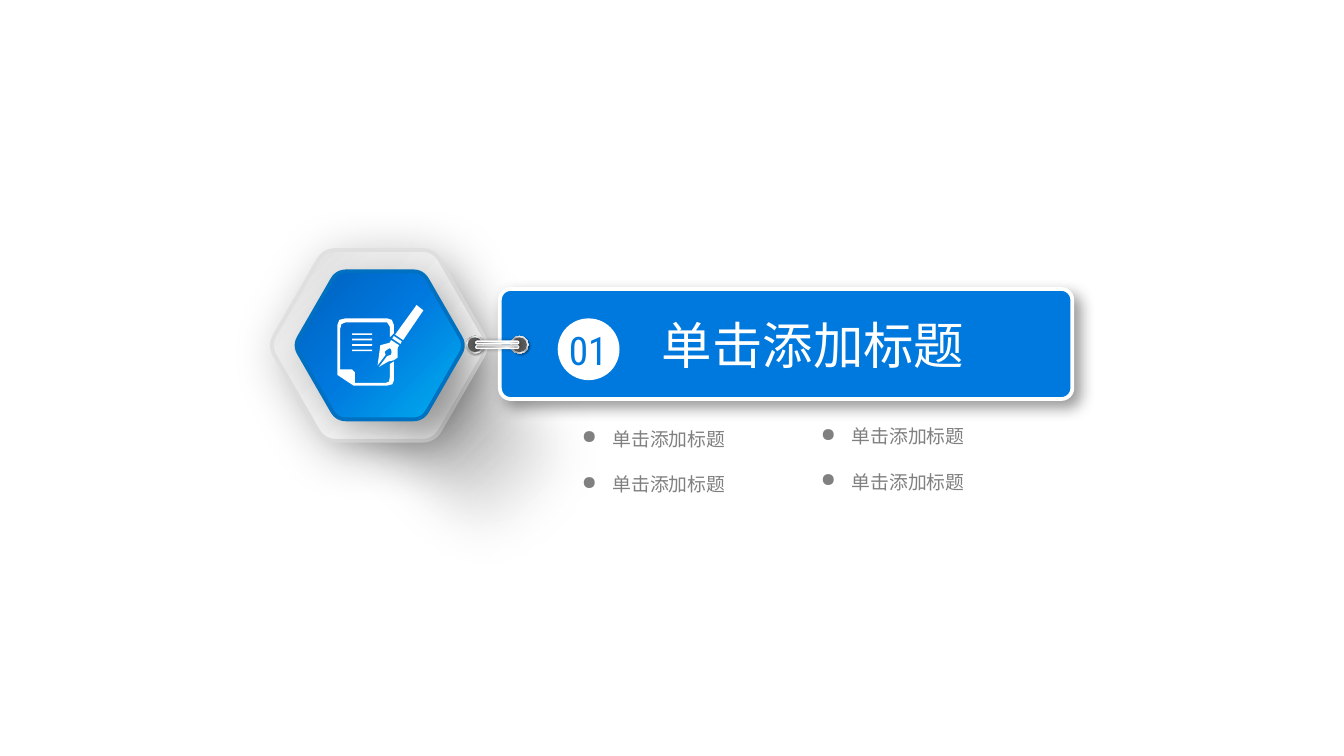
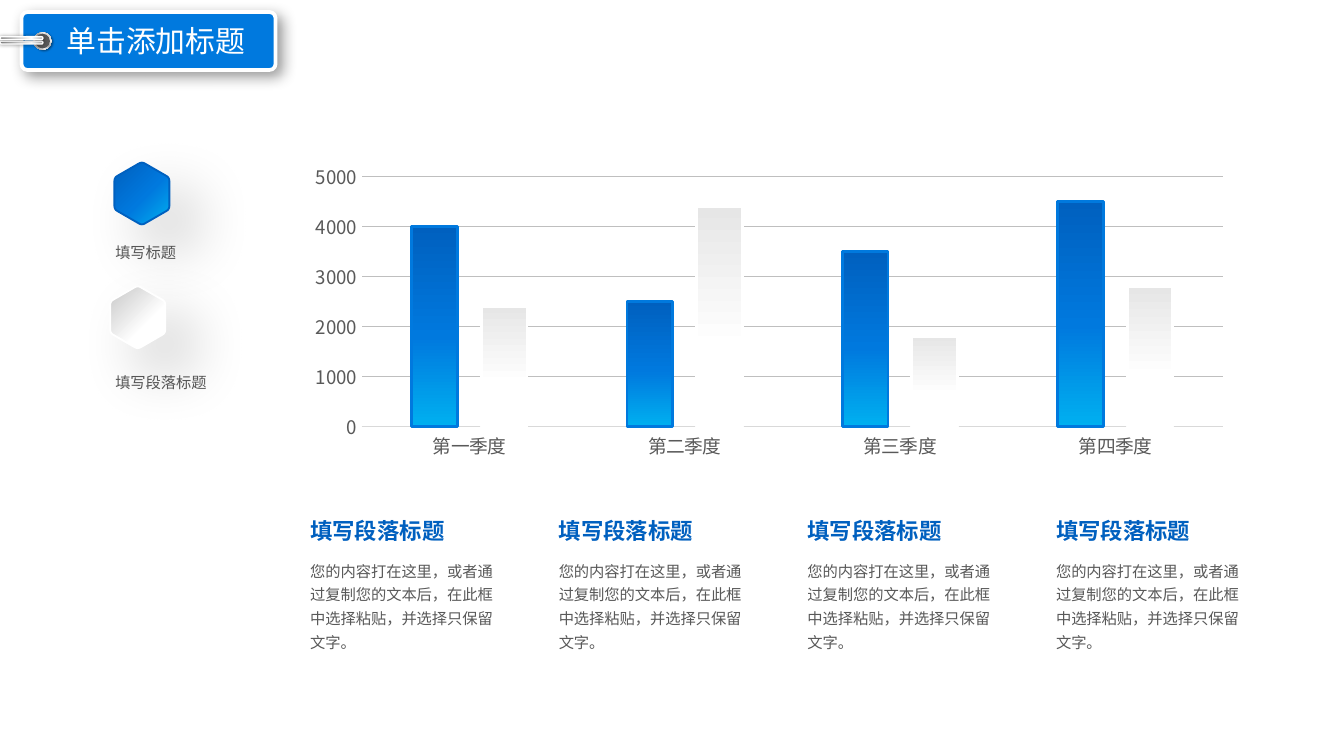
"""Build a section slide and a quarterly chart slide with hexagon badges and riveted title plates."""
from dataclasses import dataclass
from math import cos, radians, sin
from typing import NamedTuple

from lxml.etree import SubElement
from pptx import Presentation
from pptx.chart.data import CategoryChartData
from pptx.dml.color import RGBColor
from pptx.enum.chart import XL_CHART_TYPE as ChartType, XL_TICK_MARK as Tick
from pptx.enum.shapes import MSO_SHAPE as Preset
from pptx.enum.text import MSO_ANCHOR as Anchor, MSO_AUTO_SIZE as AutoSize, PP_ALIGN as Align
from pptx.oxml.ns import qn
from pptx.util import Pt


class Stop(NamedTuple):
    at: float
    color: str
    alpha: int = 100


class Gradient(NamedTuple):
    stops: tuple[Stop, ...]
    angle: int


class Shadow(NamedTuple):
    alpha: int
    blur: float
    distance: float
    direction: int = 45


class Border(NamedTuple):
    color: str
    width: float


class Box(NamedTuple):
    left: float
    top: float
    width: float
    height: float


Point = tuple[float, float]


def gradient(angle: int, *stops: tuple) -> Gradient:
    return Gradient(tuple(Stop(*stop) for stop in stops), angle)


@dataclass(frozen=True)
class Theme:
    cjk: str = "Noto Sans CJK SC"
    digits: str = "Roboto Condensed"
    white: str = "FFFFFF"
    blue: str = "0079DE"
    deep: str = "0060BF"
    cyan: str = "00B0F0"
    rim: str = "0070C0"
    silver: str = "E0E0E0"
    hole: str = "595959"
    body: str = "595959"
    muted: str = "808080"
    grid: str = "BFBFBF"
    axis: str = "D9D9D9"
    section_size: float = 27
    number_size: float = 21
    title_size: float = 16
    heading_size: float = 12
    bullet_size: float = 10.1
    axis_size: float = 10
    body_size: float = 8.2


T = Theme()


def blue_fade(angle: int, middle: int = 45) -> Gradient:
    return gradient(angle, (0, T.cyan), (middle, T.blue), (100, T.deep))


def pale_fade(angle: int, end: str) -> Gradient:
    return gradient(angle, (0, T.white), (36, T.white), (100, end))


METAL_RING = gradient(45, (0, T.white), (17, "A6A6A6"), (35, "F2F2F2"),
                      (55, "A6A6A6"), (75, "F2F2F2"), (100, "A6A6A6"))
METAL_ROD = gradient(90, (0, "808080"), (23, "A6A6A6"), (52, "D9D9D9"),
                     (74, T.white), (100, "A6A6A6"))


@dataclass(frozen=True)
class Hexagon:
    center: Point
    radius: float
    fill: Gradient
    border: Border
    shadow: Shadow
    start: int = 0
    turn: int = 0


@dataclass(frozen=True)
class Cast:
    box: Box
    fill: Gradient


@dataclass(frozen=True)
class Label:
    box: Box
    text: str
    size: float
    color: str
    font: str = T.cjk
    align: Align = Align.LEFT
    anchor: Anchor = Anchor.TOP
    wrap: bool = True
    bold: bool = False
    spacing: float | None = None
    bullet: str = ""


CASTS = (
    Cast(Box(136.8, 150.5, 203.8, 140.4),
         gradient(0, (0, "000000", 54), (33, "6C6C6C", 42), (100, "D8D8D8", 0))),
    Cast(Box(148.3, 159.8, 172.8, 113),
         gradient(0, (0, "000000", 61), (37, "6C6C6C", 50), (100, "D8D8D8", 0))),
)
BADGES = (
    Hexagon((203, 185), 59, gradient(45, (0, T.white), (73, "ECECEC"), (100, "D9D9D9")),
            Border(T.silver, 2), Shadow(28, 28, 7), turn=180),
    Hexagon((203.4, 185), 45.8, blue_fade(45, 52), Border(T.rim, 2), Shadow(25, 20, 9), turn=180),
)
SMALL_SHADOW = Shadow(20, 33, 20)
KEYS = (
    Hexagon((73.8, 170), 17, pale_fade(225, "C7C7C7"), Border(T.white, 1), SMALL_SHADOW, start=30),
    Hexagon((76, 103.7), 17, blue_fade(225), Border(T.deep, 1), SMALL_SHADOW, start=30),
)

PEN = [(223.2, 163.4), (211.7, 179.3), (216, 182.2), (226.8, 166.3)]
COLLAR = [(211, 180), (210.2, 181.4), (214.6, 184.3), (215.3, 182.9)]
NIB = [(209.5, 182.2), (208.8, 183.6), (203.8, 185), (202.3, 195.8), (206.6, 190.1),
       (206.1, 188.6), (206.6, 187.9), (208.8, 186.5), (209.5, 187.2), (209.8, 188.6),
       (209.5, 190.1), (207.4, 190.8), (203, 196.6), (208.1, 193.7), (211, 193),
       (213.1, 191.5), (213.1, 186.5), (213.8, 185)]
PAGE = [(208.8, 202.3), (208.4, 204.5), (206.6, 205.2), (190.1, 205.2), (190.1, 199.4),
        (188.6, 198), (182.2, 198), (182.2, 176.4), (182.9, 173.7), (185, 172.8),
        (207.4, 172.8), (208.8, 175), (208.8, 180.7), (211, 178.6), (211, 174.2),
        (209.9, 171.4), (207.4, 170.6), (185, 170.6), (181.8, 171.4), (180.7, 174.2),
        (180.7, 200.9), (189.4, 206.6), (207.4, 206.6), (210.2, 205.9), (211, 203.8),
        (211, 193.7), (208.8, 195.1)]

PROMPT = "单击添加标题"
HEADING = "填写段落标题"
COPY = "您的内容打在这里，或者通过复制您的文本后，在此框中选择粘贴，并选择只保留文字。"
QUARTERS = ("第一季度", "第二季度", "第三季度", "第四季度")
SALES = (
    ("Series 1", (4000, 2500, 3500, 4500), blue_fade(270), T.blue),
    ("Series 2", (2400, 4400, 1800, 2800), pale_fade(270, "E6E6E6"), T.white),
)


def rgb(color: str) -> RGBColor:
    return RGBColor.from_string(color)


def add_color(parent, color: str, alpha: int) -> None:
    tint = SubElement(parent, qn("a:srgbClr"), val=color)
    if alpha < 100:
        SubElement(tint, qn("a:alpha"), val=str(alpha * 1000))


def paint(target, element, fill: str | Gradient) -> None:
    """Fill a shape or series format with one colour or a gradient."""
    if isinstance(fill, str):
        target.fill.solid()
        target.fill.fore_color.rgb = rgb(fill)
        return
    target.fill.gradient()
    blend = element.find(f".//{qn('a:gradFill')}")
    for child in list(blend):
        blend.remove(child)
    stops = SubElement(blend, qn("a:gsLst"))
    for stop in fill.stops:
        place = SubElement(stops, qn("a:gs"), pos=str(stop.at * 1000))
        add_color(place, stop.color, stop.alpha)
    SubElement(blend, qn("a:lin"), ang=str(fill.angle * 60000), scaled="0")


def stroke(line, border: Border | None) -> None:
    if border is None:
        line.fill.background()
        return
    line.color.rgb = rgb(border.color)
    line.width = Pt(border.width)


def style(shape, fill: str | Gradient, border: Border | None = None,
          shadow: Shadow | None = None, soft: float = 0) -> None:
    paint(shape, shape.element.spPr, fill)
    stroke(shape.line, border)
    shape.shadow.inherit = False
    effects = shape.element.spPr.find(qn("a:effectLst"))
    if shadow:
        cast = SubElement(effects, qn("a:outerShdw"), blurRad=str(Pt(shadow.blur)),
                          dist=str(Pt(shadow.distance)), dir=str(shadow.direction * 60000),
                          algn="ctr", rotWithShape="0")
        add_color(cast, "000000", shadow.alpha)
    if soft:
        SubElement(effects, qn("a:softEdge"), rad=str(Pt(soft)))


def add_preset(slide, preset: Preset, box: Box, adjust: float | None = None, turn: float = 0):
    shape = slide.shapes.add_shape(preset, *map(Pt, box))
    if adjust is not None:
        shape.adjustments[0] = adjust
    shape.rotation = turn
    return shape


def add_outline(slide, points: list[Point]):
    first, *rest = [(Pt(x), Pt(y)) for x, y in points]
    builder = slide.shapes.build_freeform(*first, scale=1.0)
    builder.add_line_segments(rest, close=True)
    return builder.convert_to_shape()


def hexagon_points(hexagon: Hexagon, cut: float = 0.11, steps: int = 6) -> list[Point]:
    """Trace a regular hexagon whose corners are quadratic curves."""
    (cx, cy), radius = hexagon.center, hexagon.radius
    angles = [radians(hexagon.start + 60 * k) for k in range(6)]
    corners = [(cx + radius * cos(a), cy + radius * sin(a)) for a in angles]
    points = []
    for k, corner in enumerate(corners):
        before, after = corners[k - 1], corners[(k + 1) % 6]
        for step in range(steps + 1):
            t = step / steps
            back, ahead = cut * (1 - t) ** 2, cut * t ** 2
            points.append(tuple(c + back * (b - c) + ahead * (a - c)
                                for b, c, a in zip(before, corner, after)))
    return points


def add_hexagon(slide, hexagon: Hexagon) -> None:
    shape = add_outline(slide, hexagon_points(hexagon))
    shape.rotation = hexagon.turn
    style(shape, hexagon.fill, hexagon.border, hexagon.shadow)


def add_plate(slide, box: Box) -> None:
    style(add_preset(slide, Preset.ROUNDED_RECTANGLE, box, 0.1), T.blue,
          Border(T.white, 2), Shadow(40, 8, 4))


def add_rivet(slide, x: float, y: float) -> None:
    for size, fill, shadow in ((9.4, METAL_RING, Shadow(40, 1, 1)), (7.9, T.hole, None)):
        box = Box(x - size / 2, y - size / 2, size, size)
        style(add_preset(slide, Preset.OVAL, box, turn=270), fill, shadow=shadow)


def add_rods(slide, x: float, y: float, width: float = 1.5, length: float = 23) -> None:
    for middle in (y + 1.2, y - 1.2):
        box = Box(x - width / 2, middle - length / 2, width, length)
        style(add_preset(slide, Preset.ROUNDED_RECTANGLE, box, 0.5, 270), METAL_ROD,
              Border(T.white, 0.75), Shadow(40, 2, 0, 0))


def add_label(slide, label: Label) -> None:
    frame = slide.shapes.add_textbox(*map(Pt, label.box)).text_frame
    frame.word_wrap = label.wrap
    frame.auto_size = AutoSize.SHAPE_TO_FIT_TEXT
    frame.vertical_anchor = label.anchor
    paragraph = frame.paragraphs[0]
    paragraph.alignment = label.align
    if label.spacing:
        paragraph.line_spacing = label.spacing
    if label.bullet:
        layout = paragraph._p.get_or_add_pPr()
        layout.set("marL", str(Pt(16.5)))
        layout.set("indent", str(Pt(-16.5)))
        SubElement(layout, qn("a:buChar"), char=label.bullet)
    run = paragraph.add_run()
    run.text = label.text
    run.font.name, run.font.size = label.font, Pt(label.size)
    run.font.bold = label.bold
    run.font.color.rgb = rgb(label.color)


def add_writing_icon(slide) -> None:
    for outline in (PEN, COLLAR, NIB, PAGE):
        style(add_outline(slide, outline), T.white)
    for row in range(4):
        style(add_preset(slide, Preset.RECTANGLE, Box(188.6, 178.6 + 2.9 * row, 10.8, 0.9)), T.white)


def add_sales_chart(slide) -> None:
    data = CategoryChartData()
    data.categories = QUARTERS
    for name, values, _, _ in SALES:
        data.add_series(name, values)
    chart = slide.shapes.add_chart(ChartType.COLUMN_CLUSTERED, Pt(159.1), Pt(84.2),
                                   Pt(506.2), Pt(164.9), data).chart
    chart.has_legend = chart.has_title = False
    chart.font.name, chart.font.size = "Calibri", Pt(T.axis_size)
    plot = chart.plots[0]
    plot.gap_width, plot.overlap, plot.vary_by_categories = 219, -52, False
    for series, (_, _, fill, edge) in zip(plot.series, SALES):
        paint(series.format, series._element, fill)
        stroke(series.format.line, Border(edge, 1.5))
    for axis, border in ((chart.category_axis, Border(T.axis, 0.75)), (chart.value_axis, None)):
        axis.major_tick_mark = axis.minor_tick_mark = Tick.NONE
        font = axis.tick_labels.font
        font.name, font.size = T.cjk, Pt(T.axis_size)
        font.color.rgb = rgb(T.body)
        stroke(axis.format.line, border)
    scale = chart.value_axis
    scale.minimum_scale, scale.maximum_scale, scale.major_unit = 0, 5000, 1000
    scale.has_major_gridlines = True
    stroke(scale.major_gridlines.format.line, Border(T.grid, 0.75))


def build_section(slide) -> None:
    for cast, badge in zip(CASTS, BADGES):
        style(add_preset(slide, Preset.ROUNDED_RECTANGLE, cast.box, 0.5, 46), cast.fill, soft=25)
        add_hexagon(slide, badge)
    add_plate(slide, Box(267.8, 154.8, 306.7, 59))
    for x in (278.3, 254.5):
        add_rivet(slide, x, 184.7)
    add_rods(slide, 266.4, 184.7)
    add_label(slide, Label(Box(331.9, 164.9, 207.4, 40.3), PROMPT, T.section_size, T.white,
                           align=Align.CENTER))
    add_writing_icon(slide)
    style(add_preset(slide, Preset.OVAL, Box(298.8, 170.6, 33.1, 33.1)), T.white)
    add_label(slide, Label(Box(297.4, 171.4, 35.3, 32.4), "01", T.number_size, T.blue,
                           font=T.digits, align=Align.CENTER))
    for row in range(2):
        for left, top in ((304.6, 225.4), (432.7, 223.9)):
            add_label(slide, Label(Box(left, top + 24.5 * row, 92.9, 19.4), PROMPT, T.bullet_size,
                                   T.muted, wrap=False, bullet="●"))


def build_quarters(slide) -> None:
    add_plate(slide, Box(11.5, 6.5, 136.1, 31))
    add_rivet(slide, 22.8, 22)
    add_rods(slide, 11.5, 21.6)
    add_label(slide, Label(Box(19.4, 8.6, 128.2, 26.6), PROMPT, T.title_size, T.white,
                           align=Align.CENTER))
    add_sales_chart(slide)
    for text, top, width in (("填写标题", 126.7, 47.5), (HEADING, 196.6, 64.8)):
        add_label(slide, Label(Box(54.7, top, width, 17.3), text, T.body_size, T.body, wrap=False))
    for column in range(4):
        left = 159.1 + 133.2 * column
        add_label(slide, Label(Box(left, 273.6, 87.1, 21.6), HEADING, T.heading_size, T.deep,
                               anchor=Anchor.MIDDLE, wrap=False, bold=True))
        add_label(slide, Label(Box(left, 294.5, 119.5, 59), COPY, T.body_size, T.body, spacing=1.3))
    for key in KEYS:
        add_hexagon(slide, key)


def main() -> None:
    deck = Presentation()
    deck.slide_width, deck.slide_height = Pt(720), Pt(405)
    for build in (build_section, build_quarters):
        build(deck.slides.add_slide(deck.slide_layouts[6]))
    deck.save("out.pptx")


if __name__ == "__main__":
    main()
